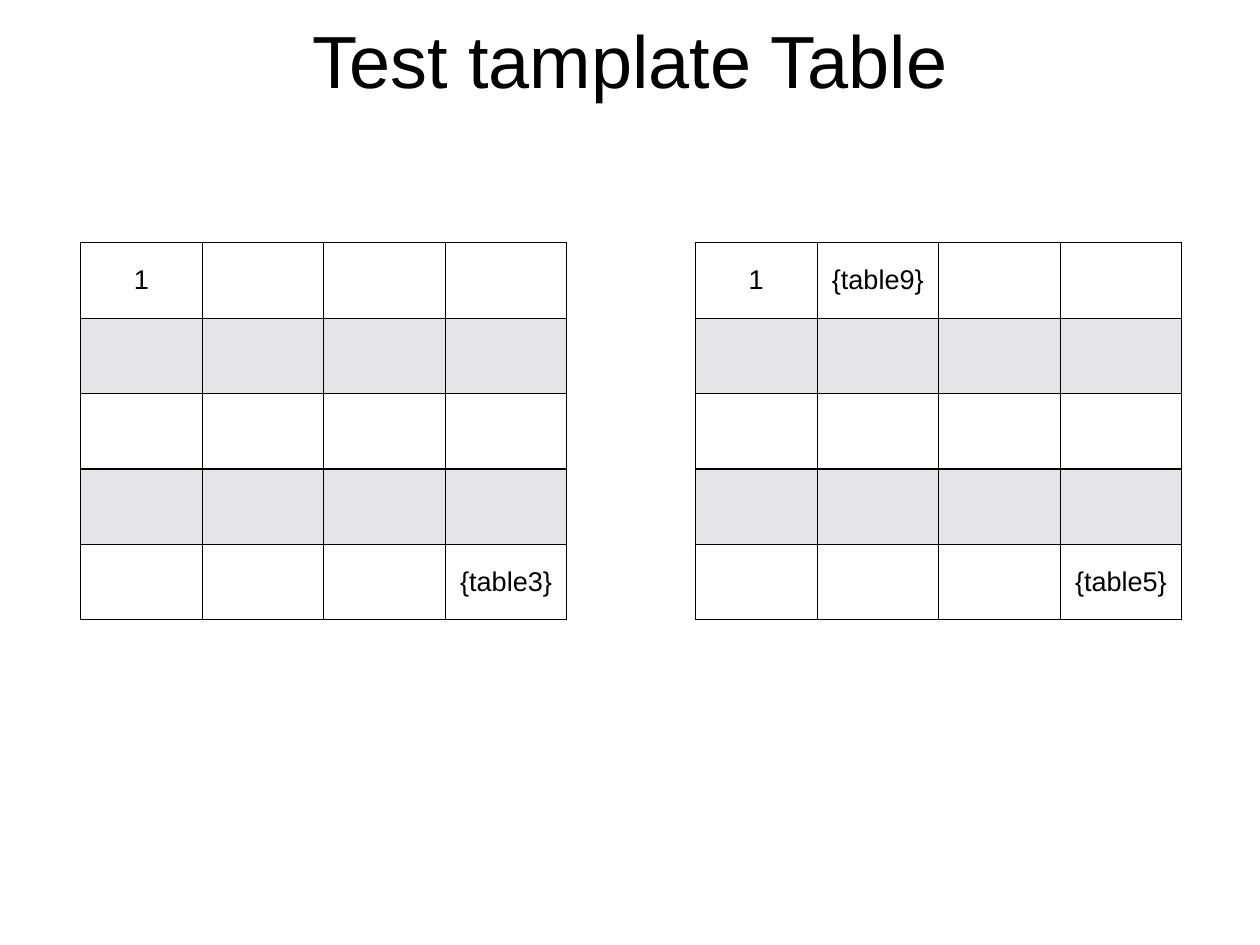
from lxml import etree
from pptx import Presentation
from pptx.dml.color import RGBColor
from pptx.enum import text
from pptx.oxml import ns
from pptx.util import Pt

TITLE = "Test tamplate Table"
ROWS, COLUMNS = 5, 4
# Left edge of each table and its filled cells, keyed by (row, column)
TABLES = [
    (65.5, {(0, 0): "1", (4, 3): "{table3}"}),
    (565.2, {(0, 0): "1", (0, 1): "{table9}", (4, 3): "{table5}"}),
]

FONT = "Arial"
BLACK = RGBColor(0x00, 0x00, 0x00)
WHITE = RGBColor(0xFF, 0xFF, 0xFF)
BAND = RGBColor(0xE3, 0xE5, 0xE8)

SLIDE_WIDTH, SLIDE_HEIGHT = 1024, 768
TITLE_BOX = (248.4, 8.6, 527.2, 78.5)
TABLE_TOP = 197.3
COLUMN_WIDTH, ROW_HEIGHT = 98.8, 61.3
MARGIN = 4
BORDER_WIDTH = 1


def set_margins(target):
    """Give a cell or text frame the same margin on all sides."""
    for side in ("left", "top", "right", "bottom"):
        setattr(target, f"margin_{side}", Pt(MARGIN))


def format_text(text_frame, size):
    """Centre the text and set its font, size and colour."""
    for paragraph in text_frame.paragraphs:
        paragraph.alignment = text.PP_ALIGN.CENTER
        for run in paragraph.runs:
            run.font.name = FONT
            run.font.size = Pt(size)
            run.font.color.rgb = BLACK


def add_borders(cell):
    """Draw a black line on each side of a cell."""
    properties = cell._tc.get_or_add_tcPr()
    for tag in ("a:lnL", "a:lnR", "a:lnT", "a:lnB"):
        line = etree.SubElement(properties, ns.qn(tag), w=str(Pt(BORDER_WIDTH)))
        fill = etree.SubElement(line, ns.qn("a:solidFill"))
        etree.SubElement(fill, ns.qn("a:srgbClr"), val=str(BLACK))


def add_title(slide):
    """Fill and place the title placeholder."""
    title = slide.shapes.title
    title.left, title.top, title.width, title.height = map(Pt, TITLE_BOX)
    frame = title.text_frame
    frame.text = TITLE
    frame.word_wrap = False
    frame.auto_size = text.MSO_AUTO_SIZE.NONE
    frame.vertical_anchor = text.MSO_ANCHOR.MIDDLE
    set_margins(frame)
    format_text(frame, 60)


def add_banded_table(slide, left, entries):
    """Add a bordered table whose rows alternate white and grey."""
    table = slide.shapes.add_table(
        ROWS, COLUMNS, Pt(left), Pt(TABLE_TOP),
        Pt(COLUMNS * COLUMN_WIDTH), Pt(ROWS * ROW_HEIGHT)).table
    table.first_row = table.horz_banding = False
    for column in table.columns:
        column.width = Pt(COLUMN_WIDTH)
    for row_index, row in enumerate(table.rows):
        row.height = Pt(ROW_HEIGHT)
        for column_index, cell in enumerate(row.cells):
            add_borders(cell)
            cell.fill.solid()
            cell.fill.fore_color.rgb = BAND if row_index % 2 else WHITE
            cell.vertical_anchor = text.MSO_ANCHOR.MIDDLE
            set_margins(cell)
            cell.text_frame.text = entries.get((row_index, column_index), "")
            format_text(cell.text_frame, 22)


presentation = Presentation()
presentation.slide_width = Pt(SLIDE_WIDTH)
presentation.slide_height = Pt(SLIDE_HEIGHT)
title_only = presentation.slide_layouts[5]
slide = presentation.slides.add_slide(title_only)
slide.background.fill.solid()
slide.background.fill.fore_color.rgb = WHITE
add_title(slide)
for left, entries in TABLES:
    add_banded_table(slide, left, entries)
presentation.save("out.pptx")
